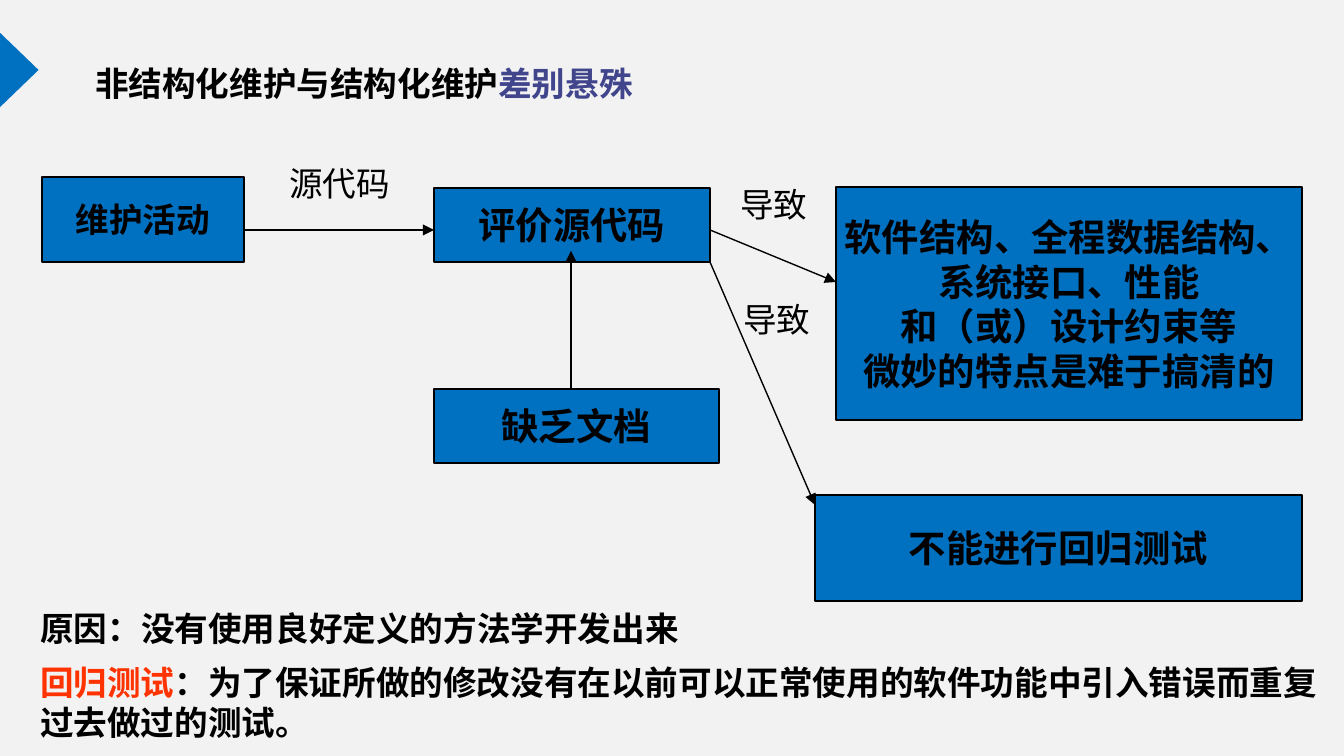
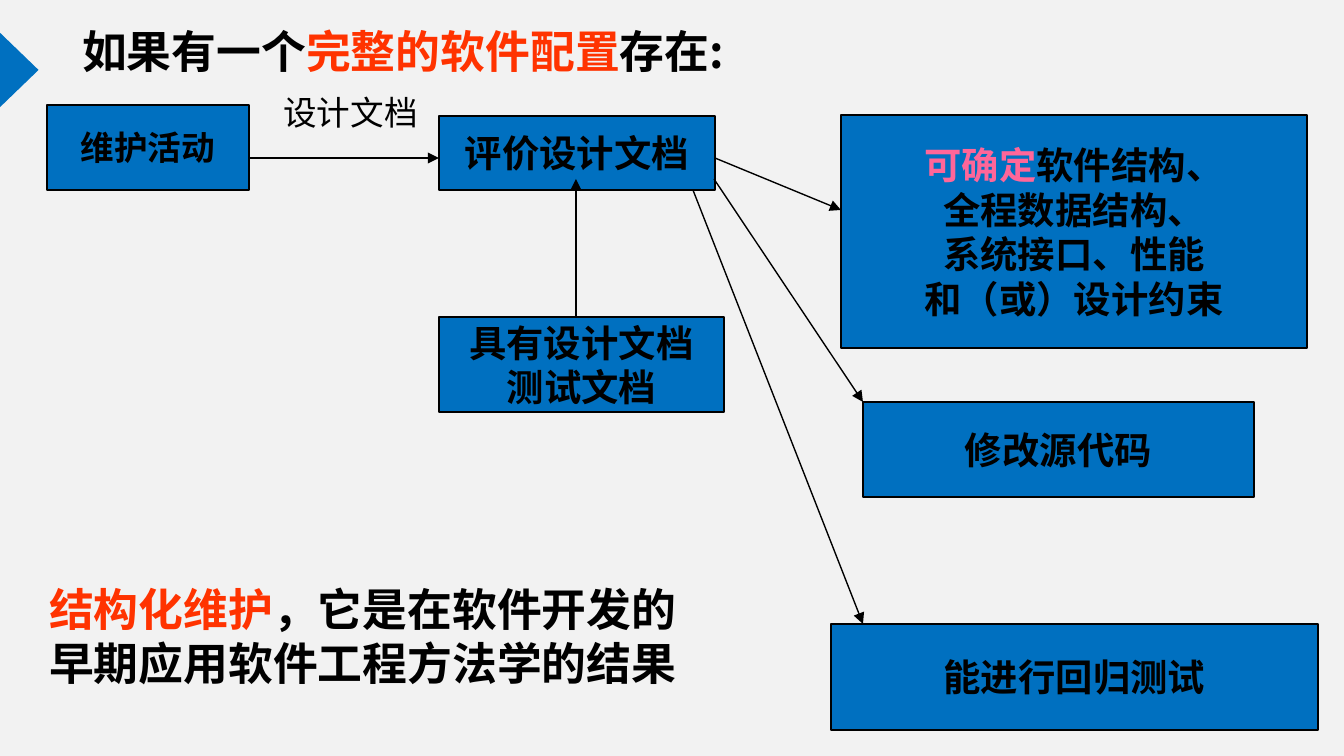
from pptx import Presentation, util as u
from pptx.dml.color import RGBColor
from pptx.enum import shapes, text
from pptx.oxml.ns import qn
from lxml import etree

THEME = {
    "page": "F2F2F2", "blue": "0070C0", "ink": "000000",
    "indigo": "40458C", "red": "FF3300", "pink": "FF6699",
    "latin": "Arial", "cjk": "Noto Sans CJK SC",
    "small": 18, "medium": 20, "large": 24, "line": 0.75,
}
PX = 914400 / 134.4
PAGE = (1344, 756)
MARKER = (-26, 48, 85, 44)

# The flow both slides share, relative to its top left corner
FLOW_BOXES = {
    "activity": (0, 0, 202, 85),
    "review": (392, 11, 276, 74),
    "basis": (392, 212, 285, 74),
    "findings": (794, 10, 466, 233),
}
FLOW_ARROWS = [(202, 53, 392, 53), (529, 212, 529, 74), (668, 53, 794, 105)]

# A paragraph is a list of runs; a run is plain text or (text, colour).
# Places are left, top, width, height; arrows are from x, y to x, y.
SLIDES = [
    {
        "origin": (42, 177),
        "flow": {
            "activity": [["维护活动"]],
            "review": [["评价源代码"]],
            "basis": [["缺乏文档"]],
            "findings": [["软件结构、全程数据结构、"], ["系统接口、性能"],
                         ["和（或）设计约束等"], ["微妙的特点是难于搞清的"]],
        },
        "outcomes": [((815, 495, 487, 106), [["不能进行回归测试"]])],
        "arrows": [(710, 262, 815, 505)],
        "labels": [((276, 156, 128, 54), "源代码"),
                   ((727, 177, 94, 54), "导致"),
                   ((730, 292, 94, 54), "导致")],
        "statements": [
            ((82, 56, 567, 54),
             [["非结构化维护与结构化维护", ("差别悬殊", "indigo")]],
             {"font": "cjk", "wrap": False}),
            ((27, 601, 669, 54), [["原因：没有使用良好定义的方法学开发出来"]],
             {"wrap": False}),
            ((27, 655, 1304, 95),
             [[("回归测试", "red"),
               "：为了保证所做的修改没有在以前可以正常使用的软件功能中引入错误而重复过去做过的测试。"]],
             {}),
        ],
    },
    {
        "origin": (47, 105),
        "flow": {
            "activity": [["维护活动"]],
            "review": [["评价设计文档"]],
            "basis": [["具有设计文档"], ["测试文档"]],
            "findings": [[("可确定", "pink"), "软件结构、"], ["全程数据结构、"],
                         ["系统接口、性能"], ["和（或）设计约束"]],
        },
        "basis_height": 95,
        "outcomes": [((831, 624, 487, 106), [["能进行回归测试"]]),
                     ((863, 402, 391, 95), [["修改源代码"]])],
        "arrows": [(714, 179, 863, 402), (693, 190, 863, 624)],
        "labels": [((270, 85, 161, 54), "设计文档")],
        "statements": [
            ((69, 17, 1207, 67),
             [["如果有一个", ("完整的软件配置", "red"), "存在:"]],
             {"font": "cjk", "size": "large"}),
            ((36, 575, 677, 121),
             [[("结构化维护", "red"), "，它是在软件开发的早期应用软件工程方法学的结果"]],
             {"font": "cjk", "size": "large"}),
        ],
    },
]


def px(*lengths):
    return [u.Emu(round(n * PX)) for n in lengths]


def colour(name):
    return RGBColor.from_string(THEME[name])


def write(frame, paragraphs, size="small", font="latin", bold=True,
          wrap=True, centred=False):
    frame.word_wrap = wrap
    for index, runs in enumerate(paragraphs):
        para = frame.paragraphs[0] if index == 0 else frame.add_paragraph()
        para.alignment = text.PP_ALIGN.CENTER if centred else text.PP_ALIGN.LEFT
        for item in runs:
            words, ink = (item, "ink") if isinstance(item, str) else item
            run = para.add_run()
            run.text = words
            run.font.size = u.Pt(THEME[size])
            run.font.bold = bold
            run.font.color.rgb = colour(ink)
            run.font.name = THEME[font]
            east_asian = etree.SubElement(run.font._element, qn("a:ea"))
            east_asian.set("typeface", THEME["cjk"])


def statement(slide, place, paragraphs, **style):
    frame = slide.shapes.add_textbox(*px(*place)).text_frame
    frame.auto_size = text.MSO_AUTO_SIZE.SHAPE_TO_FIT_TEXT
    write(frame, paragraphs, **style)


def solid(slide, preset, place):
    shape = slide.shapes.add_shape(preset, *px(*place))
    shape.shadow.inherit = False
    shape.fill.solid()
    shape.fill.fore_color.rgb = colour("blue")
    return shape


def box(slide, place, paragraphs, size="medium"):
    shape = solid(slide, shapes.MSO_SHAPE.RECTANGLE, place)
    shape.line.color.rgb = colour("ink")
    shape.line.width = u.Pt(THEME["line"])
    shape.text_frame.vertical_anchor = text.MSO_ANCHOR.MIDDLE
    write(shape.text_frame, paragraphs, size=size, wrap=False, centred=True)


def arrow(slide, ends):
    line = slide.shapes.add_connector(shapes.MSO_CONNECTOR.STRAIGHT, *px(*ends))
    line.line.color.rgb = colour("ink")
    line.line.width = u.Pt(THEME["line"])
    etree.SubElement(line.line._get_or_add_ln(), qn("a:tailEnd")).set("type", "triangle")
    etree.SubElement(line._element.spPr, qn("a:effectLst"))


def marker(slide):
    triangle = solid(slide, shapes.MSO_SHAPE.ISOSCELES_TRIANGLE, MARKER)
    triangle.rotation = 90
    triangle.line.fill.background()


def build(slide, content):
    marker(slide)
    left, top = content["origin"]

    # Boxes of the shared flow, then the outcomes of this slide
    for part, (x, y, width, height) in FLOW_BOXES.items():
        if part == "basis":
            height = content.get("basis_height", height)
        box(slide, (left + x, top + y, width, height), content["flow"][part],
            size="small" if part == "activity" else "medium")
    for place, paragraphs in content["outcomes"]:
        box(slide, place, paragraphs)

    # Arrows
    for x1, y1, x2, y2 in FLOW_ARROWS:
        arrow(slide, (left + x1, top + y1, left + x2, top + y2))
    for ends in content["arrows"]:
        arrow(slide, ends)

    # Arrow labels and free text
    for place, words in content["labels"]:
        statement(slide, place, [[words]], bold=False, wrap=False)
    for place, paragraphs, style in content["statements"]:
        statement(slide, place, paragraphs, **style)


prs = Presentation()
prs.slide_width, prs.slide_height = px(*PAGE)
backdrop = prs.slide_master.background.fill
backdrop.solid()
backdrop.fore_color.rgb = colour("page")
for content in SLIDES:
    build(prs.slides.add_slide(prs.slide_layouts[6]), content)
prs.save("out.pptx")
